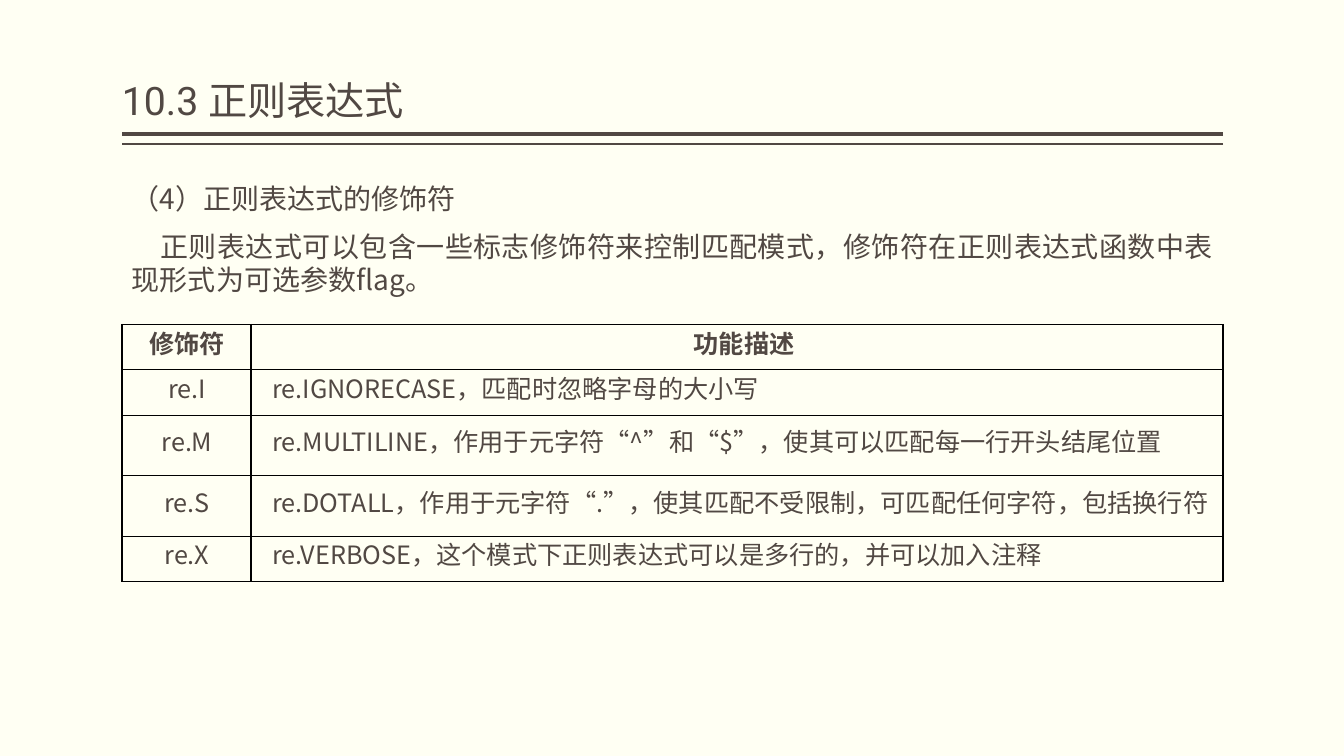
import pptx
import pptx.util
import pptx.dml.color
import pptx.enum.shapes
import pptx.enum.text
import pptx.oxml
import pptx.oxml.ns
from dataclasses import dataclass

Inches, Pt = pptx.util.Inches, pptx.util.Pt
ALIGN = pptx.enum.text.PP_ALIGN
ANCHOR = pptx.enum.text.MSO_ANCHOR
NS = pptx.oxml.ns.nsdecls("a")


@dataclass(frozen=True)
class Theme:
    """Colours, fonts and type sizes of the slide."""
    paper: str = "FFFFF3"
    ink: str = "514843"
    grid: str = "000000"
    heading_font: str = "Roboto"
    body_font: str = "Noto Sans CJK SC"
    title: int = 28
    body: int = 20
    cell: int = 18


THEME = Theme()
LEFT, WIDTH = 1.21, 10.92
ROWS = [
    ("修饰符", "功能描述"),
    ("re.I", "re.IGNORECASE，匹配时忽略字母的大小写"),
    ("re.M", "re.MULTILINE，作用于元字符“^”和“$”，使其可以匹配每一行开头结尾位置"),
    ("re.S", "re.DOTALL，作用于元字符“.”，使其匹配不受限制，可匹配任何字符，包括换行符"),
    ("re.X", "re.VERBOSE，这个模式下正则表达式可以是多行的，并可以加入注释"),
]


def rgb(value):
    """Turn a hex string into a colour."""
    return pptx.dml.color.RGBColor.from_string(value)


def write(p, text, size, font=THEME.body_font, bold=False, align=ALIGN.LEFT,
          indent=0, before=0, spacing=None):
    """Fill a paragraph with one formatted run."""
    p.alignment, p.space_before, p.line_spacing = align, Pt(before), spacing
    pPr = p._p.get_or_add_pPr()
    pPr.set("marL", "0")
    pPr.set("indent", str(Inches(indent)))
    r = p.add_run()
    r.text = text
    r.font.name, r.font.size, r.font.bold = font, Pt(size), bold
    r.font.color.rgb = rgb(THEME.ink)
    r.font._element.append(pptx.oxml.parse_xml(
        f'<a:ea {NS} typeface="{THEME.body_font}"/>'))


def add_text_frame(slide, x, y, w, h):
    """Add a wrapping text box and return its frame."""
    tf = slide.shapes.add_textbox(*map(Inches, (x, y, w, h))).text_frame
    tf.word_wrap = True
    return tf


def add_header(slide, x, y, w, h):
    """Place the title in its box with a double rule beneath."""
    tf = add_text_frame(slide, x, y, w, h)
    tf.margin_left = tf.margin_right = 0
    tf.vertical_anchor = ANCHOR.BOTTOM
    write(tf.paragraphs[0], "10.3 正则表达式", THEME.title,
          font=THEME.heading_font, spacing=0.9)
    for gap, weight in ((0.05, 3), (0.15, 1)):
        rule_y = Inches(y + h + gap)
        rule = slide.shapes.add_connector(
            pptx.enum.shapes.MSO_CONNECTOR.STRAIGHT,
            Inches(x + w), rule_y, Inches(x), rule_y)
        rule.line.color.rgb, rule.line.width = rgb(THEME.ink), Pt(weight)
        rule._element.spPr.append(pptx.oxml.parse_xml(f"<a:effectLst {NS}/>"))


def add_body(slide, x, y, w, h):
    """Place the subheading and the introduction."""
    tf = add_text_frame(slide, x, y, w, h)
    write(tf.paragraphs[0], "（4）正则表达式的修饰符", THEME.body,
          align=ALIGN.JUSTIFY, before=10)
    write(tf.add_paragraph(),
          "正则表达式可以包含一些标志修饰符来控制匹配模式，"
          "修饰符在正则表达式函数中表现形式为可选参数flag。",
          THEME.body, align=ALIGN.JUSTIFY, before=10, indent=0.28)


def format_cell(cell):
    """Give a cell its margins, clear fill and four borders."""
    cell.margin_left = cell.margin_right = Inches(0.07)
    cell.margin_top = cell.margin_bottom = 0
    cell.vertical_anchor = ANCHOR.MIDDLE
    tcPr = cell._tc.get_or_add_tcPr()
    for side in ("lnL", "lnR", "lnT", "lnB"):
        tcPr.append(pptx.oxml.parse_xml(
            f'<a:{side} {NS} w="{Pt(1)}"><a:solidFill>'
            f'<a:srgbClr val="{THEME.grid}"/></a:solidFill></a:{side}>'))
    cell.fill.background()


def add_modifier_table(slide, x, y, w, unit):
    """Place the modifier table, with row heights in multiples of a unit."""
    heights = [unit * n for n in (3, 3, 4, 4, 3)]
    key_width = 1.28
    table = slide.shapes.add_table(
        len(ROWS), 2, *map(Inches, (x, y, w, sum(heights)))).table
    table.first_row = table.horz_banding = False
    for column, width in zip(table.columns, (key_width, w - key_width)):
        column.width = Inches(width)
    for i, (height, texts) in enumerate(zip(heights, ROWS)):
        table.rows[i].height = Inches(height)
        for j, text in enumerate(texts):
            cell = table.cell(i, j)
            format_cell(cell)
            centred = i == 0 or j == 0
            write(cell.text_frame.paragraphs[0], text, THEME.cell,
                  bold=i == 0, align=ALIGN.CENTER if centred else ALIGN.LEFT,
                  indent=(0.01, 0.14)[j], spacing=Pt(19))


def main():
    """Build the slide and save it."""
    prs = pptx.Presentation()
    prs.slide_width, prs.slide_height = Inches(13.33), Inches(7.5)
    slide = prs.slides.add_slide(prs.slide_layouts[6])
    slide.background.fill.solid()
    slide.background.fill.fore_color.rgb = rgb(THEME.paper)
    add_header(slide, LEFT, 0.08, WIDTH, 1.2)
    add_body(slide, LEFT, 1.75, WIDTH, 1.25)
    add_modifier_table(slide, LEFT, 3.22, WIDTH, 0.15)
    prs.save("out.pptx")


if __name__ == "__main__":
    main()
